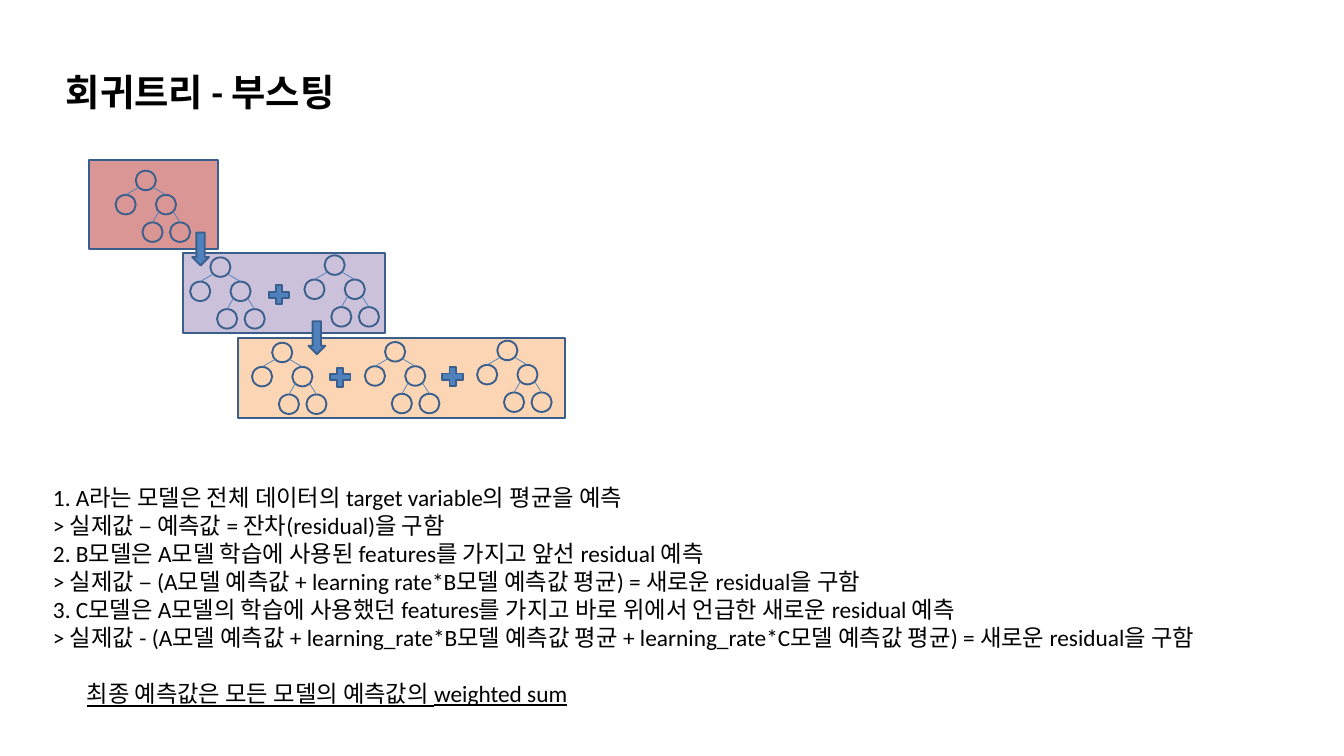
from lxml import etree
from pptx import Presentation
from pptx.dml.color import RGBColor
from pptx.enum.shapes import MSO_CONNECTOR, MSO_SHAPE
from pptx.enum.text import MSO_AUTO_SIZE, PP_ALIGN
from pptx.oxml.ns import qn
from pptx.util import Inches, Pt

RECT = MSO_SHAPE.RECTANGLE
OVAL = MSO_SHAPE.OVAL
PLUS = MSO_SHAPE.MATH_PLUS
DOWN = MSO_SHAPE.DOWN_ARROW
LINE = MSO_CONNECTOR.STRAIGHT
GROW = MSO_AUTO_SIZE.SHAPE_TO_FIT_TEXT
LEFT, MID = PP_ALIGN.LEFT, PP_ALIGN.CENTER

FONT = "Calibri"
COLORS = {
    "text": "000000",
    "edge": "3A5F8C",
    "link": "4B7EBC",
    "mark": "4F81BD",
    "red": "D99694",
    "violet": "CCC1DA",
    "orange": "FCD5B5",
}

NODE_W, NODE_H = 0.3, 0.29
NODES = [(0, 0), (-0.3, 0.36), (0.3, 0.36), (0.1, 0.77), (0.51, 0.77)]
LINKS = [(0, 1, -1), (0, 2, 1), (2, 3, -1), (2, 4, 1)]

PANELS = [
    (3.54, 5.03, 4.87, 1.19, "orange"),
    (2.72, 3.77, 3.01, 1.19, "violet"),
    (1.33, 2.38, 1.91, 1.33, "red"),
]
TREES = [(2.02, 2.54), (3.13, 3.83), (4.83, 3.8),
         (4.05, 5.1), (5.73, 5.09), (7.4, 5.07)]
PLUSES = [(3.95, 4.19), (4.86, 5.42), (6.53, 5.41)]
ARROWS = [(2.86, 3.46), (4.59, 4.78)]

STEPS = [
    ["1. A라는 모델은 전체 데이터의 target variable의 평균을 예측"],
    ["> 실제값 – 예측값 = 잔차(residual)을 구함"],
    ["2. B모델은 A모델 학습에 사용된 features를 가지고 앞선 residual 예측"],
    ["> 실제값 – (A모델 예측값 + learning rate*B모델 예측값 평균) = 새로운 residual을 구함"],
    ["3. C모델은 A모델의 학습에 사용했던 features를 가지고 바로 위에서 언급한 새로운 residual 예측",
     "> 실제값 - (A모델 예측값 + learning_rate*B모델 예측값 평균 + "
     "learning_rate*C모델 예측값 평균) = 새로운 residual을 구함"],
]
RESULT = "최종 예측값은 모든 모델의 예측값의 weighted sum"


def rgb(name):
    return RGBColor.from_string(COLORS[name])


def add_shape(slide, kind, x, y, w, h, fill=None):
    shape = slide.shapes.add_shape(kind, Inches(x), Inches(y), Inches(w), Inches(h))
    shape.shadow.inherit = False
    if fill:
        shape.fill.solid()
        shape.fill.fore_color.rgb = rgb(fill)
    else:
        shape.fill.background()
    shape.line.color.rgb = rgb("edge")
    shape.line.width = Pt(2)
    return shape


def add_link(slide, x, y, child):
    link = slide.shapes.add_connector(LINE, Inches(x), Inches(y), Inches(x), Inches(y))
    link.end_connect(child, 0)
    link.line.color.rgb = rgb("link")
    link.line.width = Pt(0.75)
    etree.SubElement(link._element.spPr, qn("a:effectLst"))


def add_tree(slide, x, y):
    nodes = [add_shape(slide, OVAL, x + dx, y + dy, NODE_W, NODE_H)
             for dx, dy in NODES]
    for top, child, side in LINKS:
        dx, dy = NODES[top]
        start = x + dx + NODE_W * (0.5 + 0.35 * side)
        add_link(slide, start, y + dy + NODE_H * 0.85, nodes[child])


def add_box(slide, x, y, w, h):
    box = slide.shapes.add_textbox(Inches(x), Inches(y), Inches(w), Inches(h))
    frame = box.text_frame
    frame.word_wrap = True
    frame.auto_size = GROW
    return frame


def add_run(para, text, size, bold=False, line=False):
    run = para.add_run()
    run.text = text
    font = run.font
    font.name = FONT
    font.size = Pt(size)
    font.bold = bold
    font.underline = line
    font.color.rgb = rgb("text")


def add_title(slide):
    para = add_box(slide, -0.67, 0.98, 7.3, 0.77).paragraphs[0]
    para.alignment = MID
    add_run(para, "회귀트리 - 부스팅", 40, bold=True)


def add_steps(slide):
    frame = add_box(slide, 0.69, 7.14, 18.62, 3.47)
    para = frame.paragraphs[0]
    for lines in STEPS:
        para.alignment = LEFT
        for i, text in enumerate(lines):
            if i:
                para.add_line_break()
            add_run(para, text, 25)
        para = frame.add_paragraph()
    para.alignment = LEFT
    para.space_before = Pt(30)
    add_run(para, "\t", 25)
    add_run(para, RESULT, 25, line=True)


def main():
    deck = Presentation()
    deck.slide_width = Inches(20)
    deck.slide_height = Inches(11.25)
    slide = deck.slides.add_slide(deck.slide_layouts[6])
    for x, y, w, h, fill in PANELS:
        add_shape(slide, RECT, x, y, w, h, fill)
    for x, y in TREES:
        add_tree(slide, x, y)
    for x, y in PLUSES:
        add_shape(slide, PLUS, x, y, 0.41, 0.39, "mark")
    for x, y in ARROWS:
        add_shape(slide, DOWN, x, y, 0.25, 0.49, "mark")
    add_steps(slide)
    add_title(slide)
    deck.save("out.pptx")


if __name__ == "__main__":
    main()
